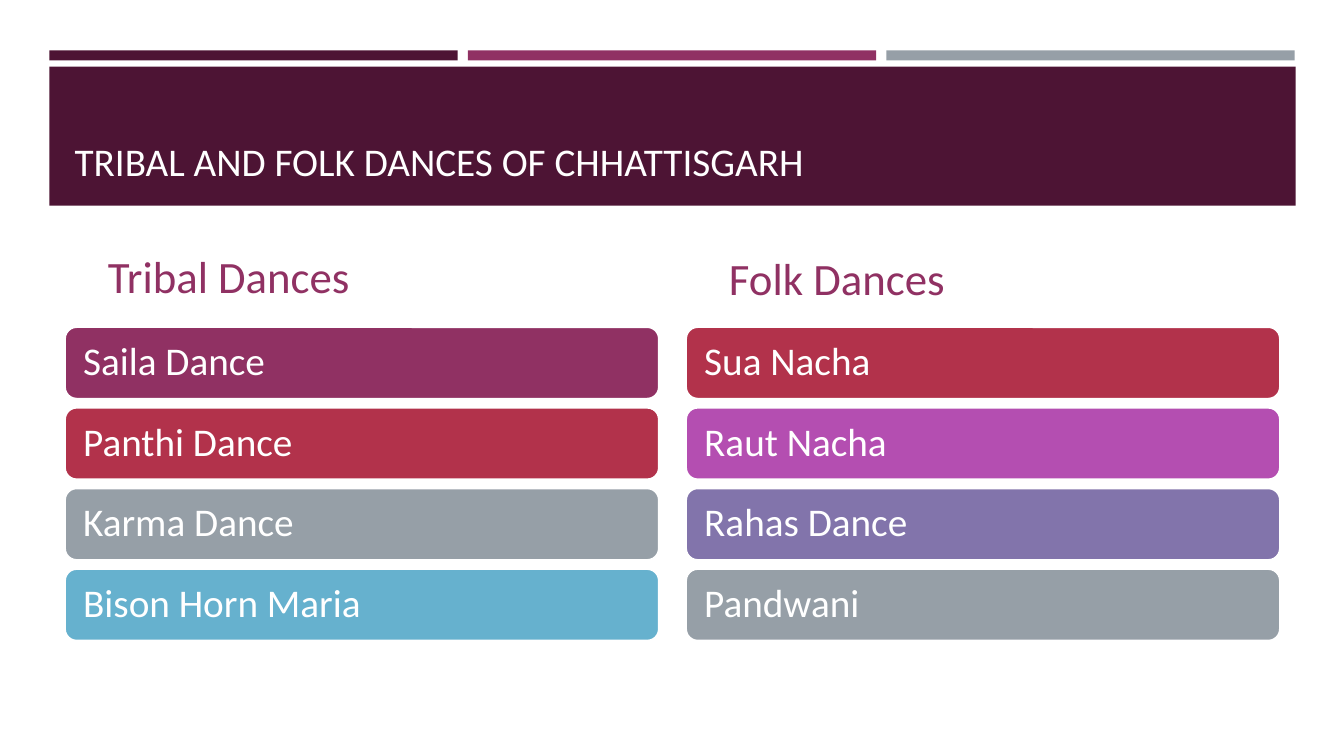
from dataclasses import dataclass

from pptx import Presentation
from pptx.dml.color import RGBColor
from pptx.enum.shapes import MSO_SHAPE
from pptx.enum.text import MSO_ANCHOR, MSO_AUTO_SIZE, PP_ALIGN
from pptx.util import Inches, Pt


@dataclass(frozen=True)
class Theme:
    font: str = "Calibri"
    white: str = "FFFFFF"
    plum: str = "4D1434"
    berry: str = "903163"
    crimson: str = "B2324B"
    gray: str = "969FA7"
    sky: str = "66B1CE"
    orchid: str = "B44EB1"
    violet: str = "8274AB"
    title_size: int = 28
    heading_size: int = 32
    card_size: int = 28


def assign(target, values):
    for name, value in values.items():
        setattr(target, name, value)


class SlideBuilder:
    def __init__(self, page, theme):
        self.page = page
        self.theme = theme

    def shape(self, kind, bounds, fill, outline=None):
        shape = self.page.shapes.add_shape(kind, *map(Inches, bounds))
        shape.shadow.inherit = False
        shape.fill.solid()
        shape.fill.fore_color.rgb = RGBColor.from_string(fill)
        if outline:
            shape.line.color.rgb = RGBColor.from_string(outline)
            shape.line.width = Pt(2)
        else:
            shape.line.fill.background()
        return shape

    def set_text(self, box, text, size, color, anchor):
        frame = box.text_frame
        frame.text = text
        assign(frame, {"word_wrap": True, "auto_size": MSO_AUTO_SIZE.NONE,
                       "vertical_anchor": anchor})
        para = frame.paragraphs[0]
        assign(para, {"alignment": PP_ALIGN.LEFT, "space_before": Pt(0)})
        assign(para.font, {"name": self.theme.font, "size": Pt(size), "bold": False})
        para.font.color.rgb = RGBColor.from_string(color)
        return frame

    def placeholder(self, index, bounds, text, size, color):
        box = self.page.placeholders[index]
        assign(box, dict(zip(("left", "top", "width", "height"), map(Inches, bounds))))
        self.set_text(box, text, size, color, MSO_ANCHOR.BOTTOM)
        self.page.shapes.element.append(box.element)

    def remove_placeholder(self, index):
        element = self.page.placeholders[index].element
        element.getparent().remove(element)

    def card(self, bounds, text, fill):
        card = self.shape(MSO_SHAPE.ROUNDED_RECTANGLE, bounds, fill, self.theme.white)
        frame = self.set_text(card, text, self.theme.card_size, self.theme.white,
                              MSO_ANCHOR.MIDDLE)
        frame.paragraphs[0].line_spacing = 0.9
        assign(frame, {"margin_left": Inches(0.15), "margin_right": Inches(0.15)})


def main():
    theme = Theme()
    deck = Presentation()
    assign(deck, {"slide_width": Inches(13.33), "slide_height": Inches(7.5)})
    builder = SlideBuilder(deck.slides.add_slide(deck.slide_layouts[4]), theme)

    for column, color in enumerate((theme.plum, theme.berry, theme.gray)):
        builder.shape(MSO_SHAPE.RECTANGLE, (0.49 + 4.15 * column, 0.5, 4.05, 0.1), color)
    builder.shape(MSO_SHAPE.RECTANGLE, (0.49, 0.66, 12.36, 1.38), theme.plum)
    builder.placeholder(0, (0.64, 0.8, 12.06, 1.08),
                        "TRIBAL AND FOLK DANCES OF CHHATTISGARH",
                        theme.title_size, theme.white)

    columns = (
        (1, 0.64, 0.59, "Tribal Dances", (
            ("Saila Dance", theme.berry), ("Panthi Dance", theme.crimson),
            ("Karma Dance", theme.gray), ("Bison Horn Maria", theme.sky))),
        (3, 6.8, 0.61, "Folk Dances", (
            ("Sua Nacha", theme.crimson), ("Raut Nacha", theme.orchid),
            ("Rahas Dance", theme.violet), ("Pandwani", theme.gray))),
    )
    for index, left, height, heading, dances in columns:
        builder.placeholder(index, (left + 0.33, 2.46, 5.56, height), heading,
                            theme.heading_size, theme.berry)
        for row, (dance, color) in enumerate(dances):
            builder.card((left, 3.24 + 0.8 * row, 5.9, 0.72), dance, color)
        builder.remove_placeholder(index + 1)

    deck.save("out.pptx")


if __name__ == "__main__":
    main()
